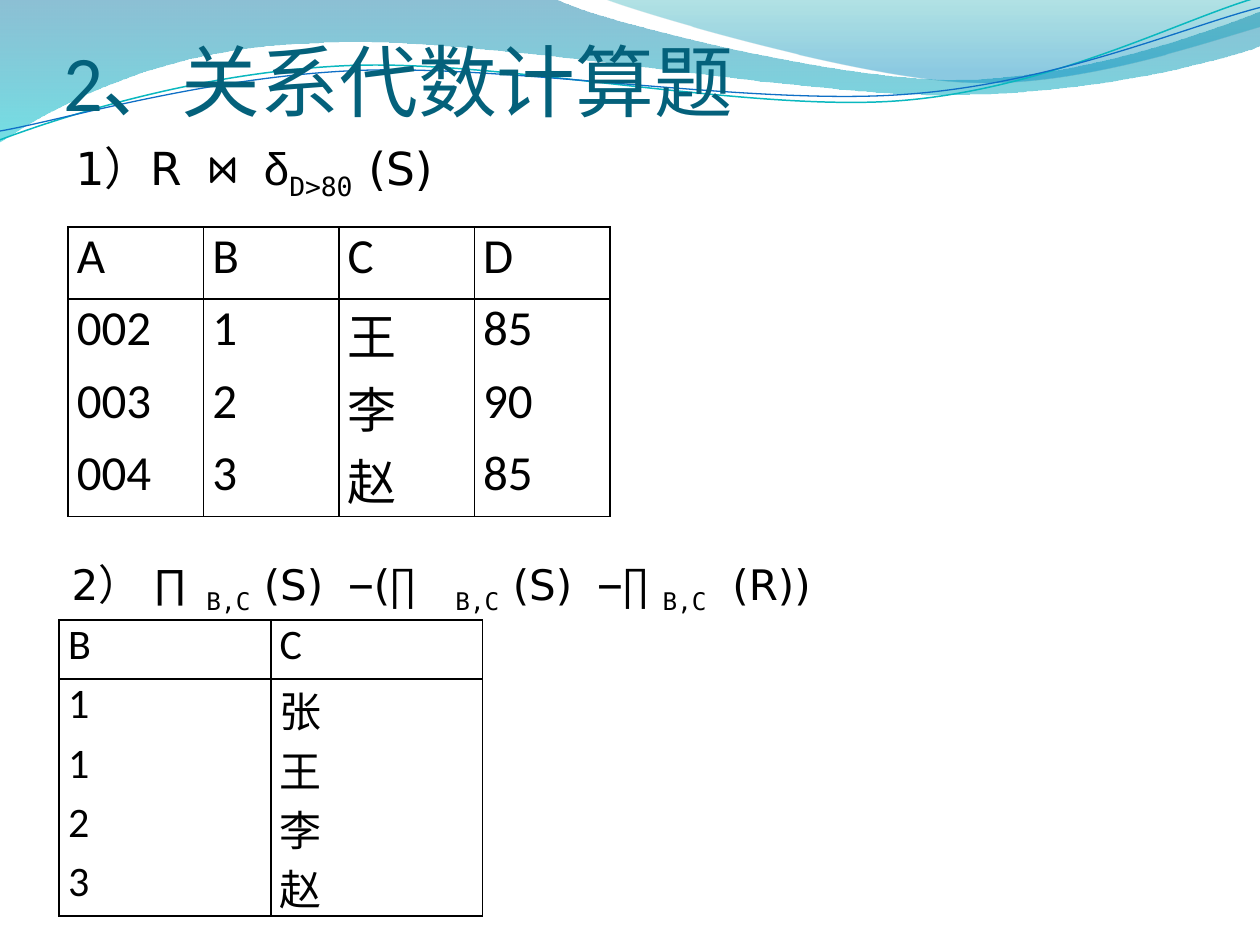
from math import cos, radians, sin

from lxml import etree
from pptx import Presentation
from pptx.dml.color import RGBColor
from pptx.enum.text import MSO_ANCHOR, MSO_AUTO_SIZE, PP_ALIGN
from pptx.oxml.ns import qn
from pptx.util import Inches, Pt

LEFT, JUSTIFY = PP_ALIGN.LEFT, PP_ALIGN.JUSTIFY
TOP, BOTTOM = MSO_ANCHOR.TOP, MSO_ANCHOR.BOTTOM
GROW, FIXED = MSO_AUTO_SIZE.SHAPE_TO_FIT_TEXT, MSO_AUTO_SIZE.NONE
PLAIN = "{2D5ABB26-0587-4C30-8999-92F81FD0307C}"
TILT = -2.7
THEME = {
    "ink": "000000", "title": "04617B",
    "text": "Calibri", "sans": "DejaVu Sans", "mono": "DejaVu Sans Mono", "greek": "Arial",
    "title size": 45, "join size": 26, "minus size": 24, "join grid": 28, "minus grid": 24,
}

# Each wave: start point, then steps of 2 numbers (line) or 6 (curve)
BANDS = [
    ((0, 0), [(4.4, -0.01), (4.76, 0.17, 6.64, 0.63, 7.58, 0.63),
              (8.53, 0.63, 9.58, 0.26, 10, 0.09), (10.01, 0.36),
              (9.83, 0.44, 8.7, 0.76, 7.46, 0.75), (6.22, 0.75, 3.82, 0.28, 2.57, 0.34),
              (1.29, 0.36, 0.46, 0.83, -0.01, 1.13), (0, 0)],
     [(0, "0074A1", 45), (1, "00C6CF", 55)]),
    ((4.79, -0.01), [(5.09, 0.11, 6.82, 0.62, 7.69, 0.65),
                     (8.56, 0.69, 9.61, 0.32, 10, 0.21), (10, 0), (4.79, -0.01)],
     [(0, "00A1A9", 30), (0.8, "008BBF", 45)]),
]
LINES = [
    ((0, 1.11), [(0.48, 0.93, 1.58, 0.57, 2.77, 0.52), (3.95, 0.47, 5.93, 0.89, 7.13, 0.8),
                 (8.33, 0.71, 9.38, 0.15, 9.98, -0.02)], (4.99, 0.575), "0AB8BF", 0.85),
    ((0, 1.04), [(0.47, 0.96, 1.64, 0.61, 2.83, 0.56), (4.03, 0.51, 5.97, 0.84, 7.17, 0.75),
                 (8.36, 0.67, 9.41, 0.21, 10, 0.06)], (5, 0.59), "0F6FC6", 0.75),
]

TITLE = [("2、关系代数计算题", "text")]
JOIN = [("1）R", "sans"), (" ⋈ ", "mono"), ("δ", "greek"), ("D>80 ", "mono", "sub"), ("(S)", "sans")]
MINUS = [("2）", "sans"), (" ∏", "mono"), (" ", "mono", "near"), ("B,C", "mono", "sub"),
         (" (S)", "sans"), (" −", "mono"), ("(", "sans"), ("∏", "mono"), (" ", "mono", "wide"),
         ("B,C", "mono", "sub"), (" (S)", "sans"), (" −∏", "mono"), (" B,C", "mono", "sub"),
         (" ", "mono", "sub", "far"), ("(R))", "sans")]
STYLES = {"sub": {"baseline": "-25000"}, "near": {"spc": "300"},
          "wide": {"spc": "840"}, "far": {"spc": "630"}}
GRIDS = [
    ((0.54, 1.8), (1.075, 0.575), "join grid",
     ["A B C D", "002 1 王 85", "003 2 李 90", "004 3 赵 85"]),
    ((0.47, 4.92), (1.68, 0.47), "minus grid",
     ["B C", "1 张", "1 王", "2 李", "3 赵"]),
]


def rgb(value):
    return RGBColor.from_string(value)


def turn(point, mid, angle):
    a, x, y = radians(angle), point[0] - mid[0], point[1] - mid[1]
    return mid[0] + x * cos(a) - y * sin(a), mid[1] + x * sin(a) + y * cos(a)


def wave(slide, start, steps, mid=(0, 0), angle=0):
    """Draw a path of lines and cubic curves, tilted by angle about mid."""
    flat = [start] + [pair for step in steps for pair in zip(step[::2], step[1::2])]
    points = [tuple(map(Inches, turn(p, mid, -angle))) for p in flat]
    pen = slide.shapes.build_freeform(*points[0])
    pen.add_line_segments(points[1:], close=start == flat[-1])
    shape = pen.convert_to_shape()
    shape.shadow.inherit = False
    shape.rotation = angle
    nodes = iter(list(shape._element.iter(qn("a:lnTo"))))
    for step in steps:
        node = next(nodes)
        if len(step) == 6:
            node_set = [node, next(nodes), next(nodes)]
            bend = etree.Element(qn("a:cubicBezTo"))
            node.addprevious(bend)
            for part in node_set:
                bend.append(part[0])
                part.getparent().remove(part)
    return shape


def band(slide, start, steps, stops):
    shape = wave(slide, start, steps)
    shape.line.fill.background()
    shape.fill.gradient()
    shape.fill.gradient_angle = 270
    for stop, (place, color, _) in zip(shape.fill.gradient_stops, stops):
        stop.position, stop.color.rgb = place, rgb(color)
    for node, (_, _, share) in zip(shape._element.iter(qn("a:srgbClr")), stops):
        etree.SubElement(node, qn("a:alpha"), val=str(share * 1000))


def curve(slide, start, steps, mid, color, width):
    shape = wave(slide, start, steps, mid, TILT)
    shape.fill.background()
    shape.line.color.rgb, shape.line.width = rgb(color), Pt(width)


def write(para, runs, size, color="ink", align=LEFT):
    para.alignment = align
    for text, face, *style in runs:
        run = para.add_run()
        run.text = text
        font = run.font
        font.name, font.size, font.color.rgb = THEME[face], Pt(THEME[size]), rgb(THEME[color])
        for name in style:
            for key, value in STYLES[name].items():
                font._element.set(key, value)


def place(shape, box, **frame):
    shape.left, shape.top, shape.width, shape.height = map(Inches, box)
    for key, value in frame.items():
        setattr(shape.text_frame, key, value)
    return shape.text_frame.paragraphs[0]


def hang(para):
    props = para._p.get_or_add_pPr()
    props.set("marL", str(Inches(0.3)))
    props.set("indent", str(-Inches(0.3)))
    etree.SubElement(props, qn("a:buNone"))
    para.space_before = Pt(0)


def rule(cell, sides):
    for side in sides:
        line = etree.SubElement(cell._tc.get_or_add_tcPr(), qn("a:ln" + side), w=str(Pt(1)))
        fill = etree.SubElement(line, qn("a:solidFill"))
        etree.SubElement(fill, qn("a:srgbClr"), val=THEME["ink"])


def grid(slide, spot, step, size, lines):
    rows = [line.split() for line in lines]
    high, wide = len(rows), len(rows[0])
    frame = slide.shapes.add_table(high, wide, *map(Inches, spot),
                                   Inches(wide * step[0]), Inches(high * step[1]))
    table = frame.table
    table.first_row = table.horz_banding = False
    table._tbl.tblPr.find(qn("a:tableStyleId")).text = PLAIN
    for r, row in enumerate(rows):
        for c, text in enumerate(row):
            cell = table.cell(r, c)
            rule(cell, "LRTB" if r == 0 else "LRB" if r == high - 1 else "LR")
            cell.fill.background()
            cell.margin_left = cell.margin_right = Inches(0.07)
            cell.margin_top = cell.margin_bottom = 0
            write(cell.text_frame.paragraphs[0], [(text, "text")], size, align=JUSTIFY)


def main():
    deck = Presentation()
    deck.slide_width, deck.slide_height = Inches(10), Inches(7.5)
    slide = deck.slides.add_slide(deck.slide_layouts[1])
    for item in BANDS:
        band(slide, *item)
    for item in LINES:
        curve(slide, *item)
    title, body = slide.placeholders
    for holder in (title, body):
        slide.shapes._spTree.append(holder._element)

    head = place(title, (0.5, 0.16, 9, 0.85), vertical_anchor=BOTTOM, auto_size=FIXED,
                 margin_left=0, margin_right=0, margin_bottom=0, margin_top=Inches(0.05))
    write(head, TITLE, "title size", "title")
    join = place(body, (0.5, 1.06, 9, 4.8), vertical_anchor=TOP, auto_size=FIXED)
    hang(join)
    write(join, JOIN, "join size")
    note = slide.shapes.add_textbox(0, 0, 0, 0)
    minus = place(note, (0.47, 4.38, 6.48, 0.5), word_wrap=True, auto_size=GROW)
    hang(minus)
    write(minus, MINUS, "minus size")
    for item in GRIDS:
        grid(slide, *item)
    deck.save("out.pptx")


if __name__ == "__main__":
    main()
